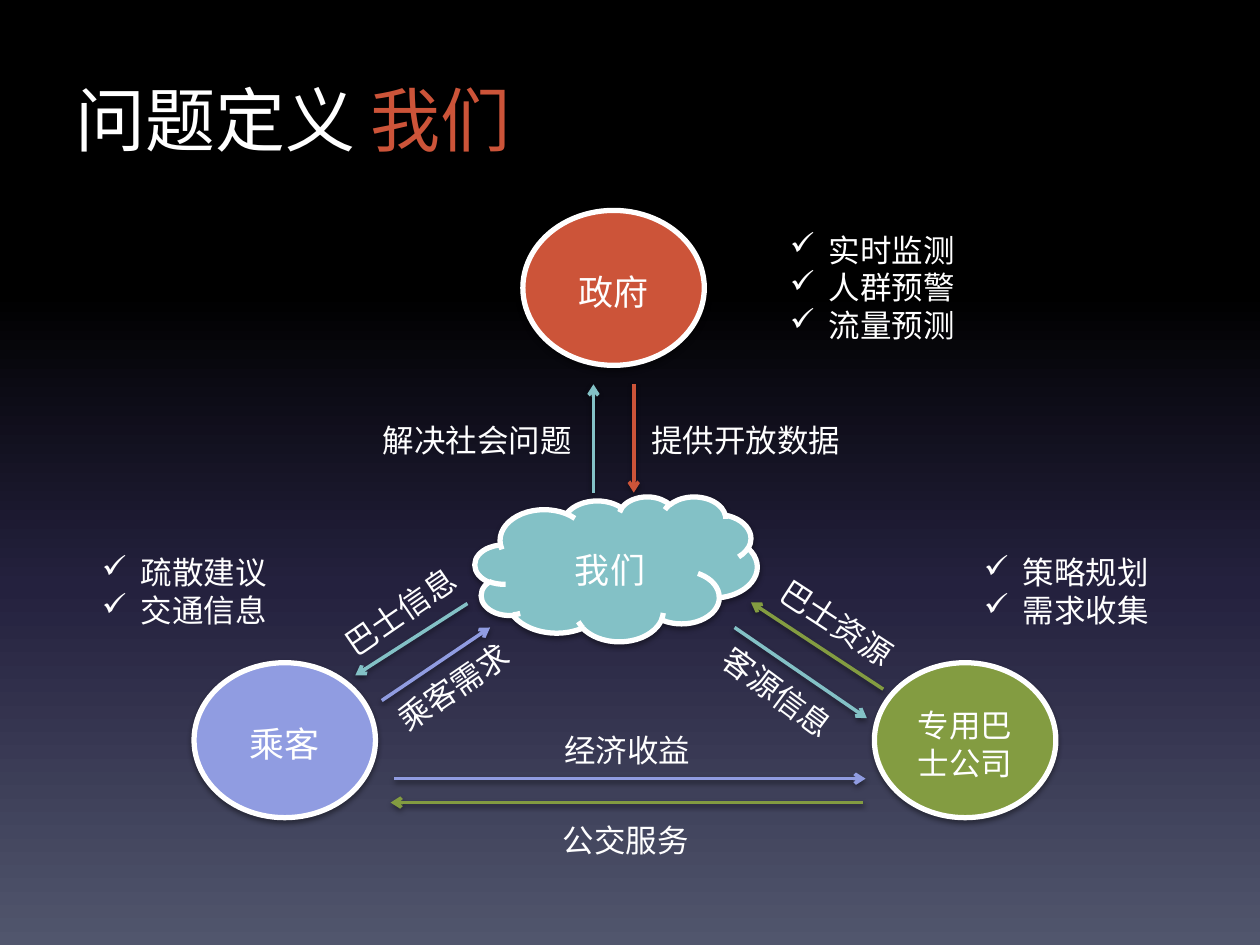
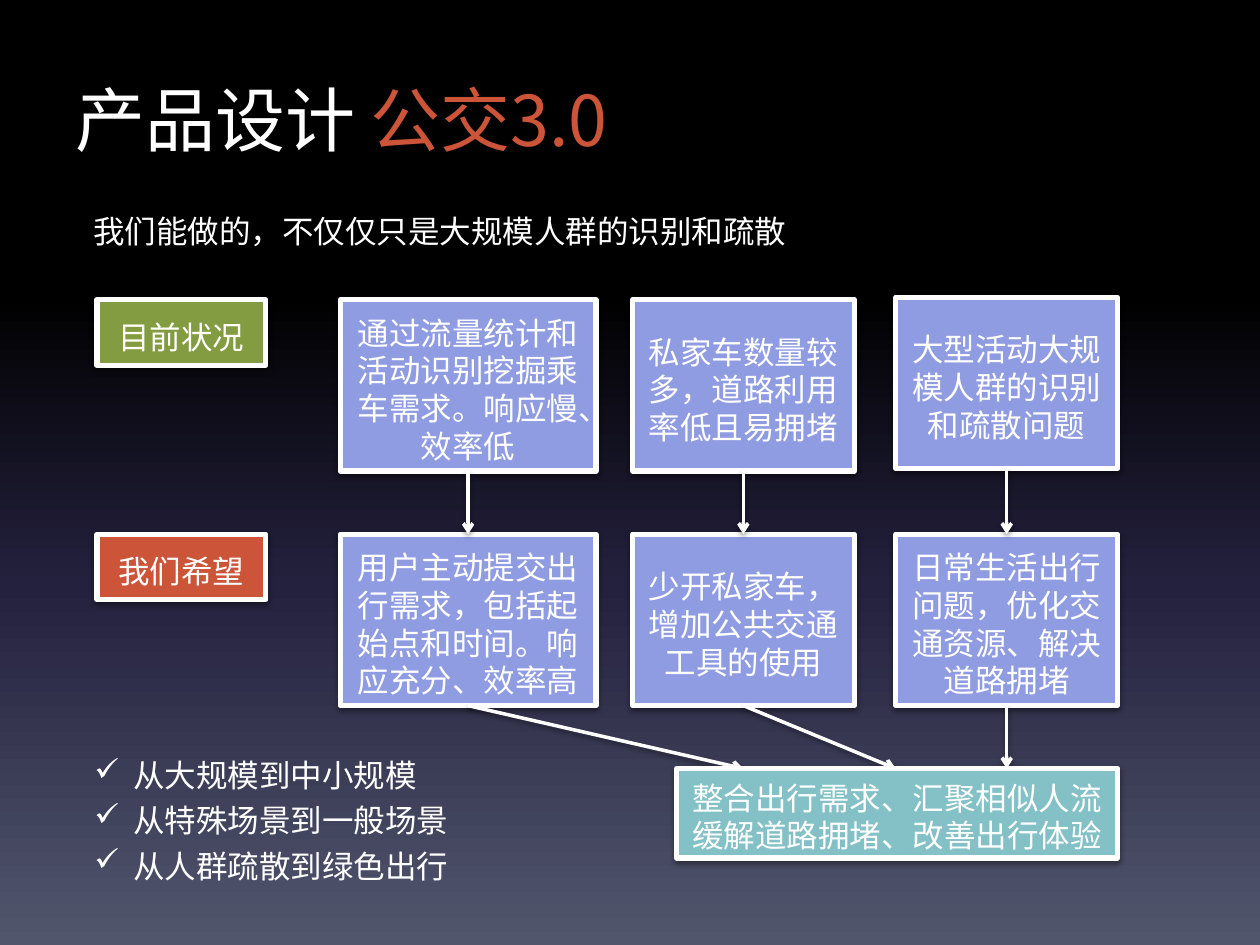
from dataclasses import dataclass

from lxml import etree
from pptx import Presentation
from pptx import util as u
from pptx.dml import color as dml
from pptx.enum import shapes, text
from pptx.oxml import ns

COLORS = {
    "white": "FFFFFF",
    "black": "000000",
    "orange": "CC5439",
    "blue": "909CE1",
    "green": "839C41",
    "teal": "83C1C6",
    "navy": "24213E",
    "slate": "51566D",
}
BACKGROUND_STOPS = [(0, "black"), (31, "black"), (62, "navy"), (100, "slate")]
SANS = "Noto Sans CJK SC"
TITLE_FONT = "Noto Sans CJK JP"
BOX_FONT = "Calibri"
COLUMNS, ROWS = 100, 75
CELL = u.Inches(0.1)
LINE_RATIO = 1.2
LEFT = text.PP_ALIGN.LEFT
CENTER = text.PP_ALIGN.CENTER
SHAPE = shapes.MSO_SHAPE


@dataclass
class Box:
    left: float
    top: float
    width: float
    height: float

    def inner(self, left, top, width, height):
        return Box(self.left + left, self.top + top, width, height)

    def point(self, column, row):
        return self.left + column, self.top + row

    def emu(self):
        return [cells(value) for value in (self.left, self.top, self.width, self.height)]


def cells(count):
    return u.Emu(round(count * CELL))


def rgb(name):
    return dml.RGBColor.from_string(COLORS[name])


def add_child(parent, tag, **attributes):
    return etree.SubElement(parent, ns.qn(tag), attributes)


def add_shadow(shape):
    effects = add_child(shape.element.spPr, "a:effectLst")
    shadow = add_child(effects, "a:outerShdw", blurRad=str(u.Pt(3.1)), dist=str(u.Pt(1.6)),
                       dir="5400000", rotWithShape="0")
    tone = add_child(shadow, "a:srgbClr", val=COLORS["black"])
    add_child(tone, "a:alpha", val="38000")


def format_run(run, size, font, color="white"):
    run.font.size = u.Pt(size)
    run.font.color.rgb = rgb(color)
    run.font.name = font
    add_child(run.font._element, "a:ea", typeface=font)


def write_text(shape, lines, size=18, font=SANS, align=LEFT, anchor=text.MSO_ANCHOR.TOP,
               spacing=LINE_RATIO, bullets=False):
    frame = shape.text_frame
    frame.word_wrap = True
    frame.vertical_anchor = anchor
    frame.margin_top, frame.margin_bottom = cells(0.8), cells(0.2)
    frame.text = "\n".join(lines)
    for paragraph in frame.paragraphs:
        paragraph.alignment = align
        paragraph.line_spacing = u.Pt(size * spacing)
        for run in paragraph.runs:
            format_run(run, size, font)
        if bullets:
            properties = paragraph._p.get_or_add_pPr()
            properties.set("marL", str(cells(3.1)))
            properties.set("indent", str(cells(-3.1)))
            add_child(properties, "a:buChar", char="✓")


def add_text(slide, box, lines, rotation=0, **style):
    shape = slide.shapes.add_textbox(*box.emu())
    shape.rotation = rotation
    write_text(shape, lines, **style)
    return shape


def add_node(slide, box, kind, fill, lines, anchor=text.MSO_ANCHOR.MIDDLE, **style):
    shape = slide.shapes.add_shape(kind, *box.emu())
    shape.fill.solid()
    shape.fill.fore_color.rgb = rgb(fill)
    shape.line.color.rgb = rgb("white")
    shape.line.width = u.Pt(3)
    add_shadow(shape)
    write_text(shape, lines, align=CENTER, anchor=anchor, **style)


def add_arrow(slide, start, end, color="white"):
    ends = [cells(value) for value in (*start, *end)]
    arrow = slide.shapes.add_connector(shapes.MSO_CONNECTOR.STRAIGHT, *ends)
    arrow.line.color.rgb = rgb(color)
    arrow.line.width = u.Pt(2)
    add_child(arrow.element.spPr.find(ns.qn("a:ln")), "a:tailEnd", type="arrow")
    add_shadow(arrow)


def paint_background(slide):
    fill = slide.background.fill
    fill.gradient()
    fill.gradient_angle = 270
    stops = slide.element.find(".//" + ns.qn("a:gsLst"))
    for stop in list(stops):
        stops.remove(stop)
    for position, color in BACKGROUND_STOPS:
        stop = add_child(stops, "a:gs", pos=str(position * 1000))
        add_child(stop, "a:srgbClr", val=COLORS[color])


def title_band(slide, box, topic, accent):
    shape = add_text(slide, box, [topic], size=40, font=TITLE_FONT, spacing=1.25)
    run = shape.text_frame.paragraphs[0].add_run()
    run.text = accent
    format_run(run, 40, TITLE_FONT, "orange")


def relationship_map(slide, box):
    parties = [
        (36.5, 1.7, "orange", "政府", 20),
        (10.4, 37.6, "blue", "乘客", 20),
        (64.4, 37.6, "green", "专用巴士公司", 18),
    ]
    for left, top, fill, name, size in parties:
        add_node(slide, box.inner(left, top, 14.4, 12.3), SHAPE.OVAL, fill, [name], size=size)
    add_node(slide, box.inner(32.7, 24.4, 22.4, 11.5), SHAPE.CLOUD, "teal", [" 我们"], size=20)

    exchanges = [
        ((42.1, 24.1), (42.1, 15.5), "teal"),
        ((45.3, 15.5), (45.3, 24.1), "orange"),
        ((53.3, 34.8), (63.8, 42), "teal"),
        ((65.1, 39.7), (54.6, 32.8), "green"),
        ((32.1, 32.9), (23.2, 38.6), "teal"),
        ((25.3, 40.6), (33.9, 34.8), "blue"),
        ((26.3, 46.8), (63.7, 46.8), "blue"),
        ((63.5, 48.7), (26, 48.7), "green"),
    ]
    for start, end, color in exchanges:
        add_arrow(slide, box.point(*start), box.point(*end), color)

    exchange_labels = [
        (24.4, 17.6, 17.2, 0, "解决社会问题"),
        (45.7, 17.6, 17.2, 0, "提供开放数据"),
        (20.6, 31.1, 12.5, -34.5, "巴士信息"),
        (24.8, 37.1, 12.5, -34.5, "乘客需求"),
        (50.6, 38.7, 15.4, 36.5, "客源信息"),
        (55.3, 33.1, 15.4, 33.2, "巴士资源"),
        (38.8, 42.2, 12.4, 0, "经济收益"),
        (38.7, 49.4, 12.4, 0, "公交服务"),
    ]
    for left, top, width, rotation, label in exchange_labels:
        add_text(slide, box.inner(left, top, width, 4), [label], rotation)

    benefits = [
        (56.7, 2.5, ["实时监测", "人群预警", "流量预测"]),
        (2.1, 28.1, ["疏散建议", "交通信息"]),
        (72.1, 28.1, ["策略规划", "需求收集"]),
    ]
    for left, top, lines in benefits:
        add_text(slide, box.inner(left, top, 15.5, 3 * len(lines) + 1), lines, bullets=True)


def comparison_flow(slide, box):
    now_row, hope_row, result_row = 1.8, 20.4, 39
    card_height = 13.6
    for top, fill, name in [(now_row, "green", "目前状况"), (hope_row, "orange", "我们希望")]:
        add_node(slide, box.inner(0.7, top, 13.4, 5.2), SHAPE.RECTANGLE, fill, [name],
                 font=BOX_FONT)

    columns = [
        (20, 20.3, now_row, "通过流量统计和活动识别挖掘乘车需求。响应慢、效率低",
         "用户主动提交出行需求，包括起始点和时间。响应充分、效率高"),
        (43.2, 17.6, now_row, "私家车数量较多，道路利用率低且易拥堵",
         "少开私家车，增加公共交通工具的使用"),
        (64.1, 17.6, now_row - 0.2, "大型活动大规模人群的识别和疏散问题",
         "日常生活出行问题，优化交通资源、解决道路拥堵"),
    ]
    centers = [left + width / 2 for left, width, *_ in columns]
    targets = [centers[1], columns[2][0], centers[2]]
    for (left, width, top, now, hope), center, target in zip(columns, centers, targets):
        for card_top, words in [(top, now), (hope_row, hope)]:
            add_node(slide, box.inner(left, card_top, width, card_height), SHAPE.RECTANGLE,
                     "blue", [words], font=BOX_FONT)
        add_arrow(slide, box.point(center, top + card_height), box.point(center, hope_row))
        add_arrow(slide, box.point(center, hope_row + card_height),
                  box.point(target, result_row))
    add_node(slide, box.inner(46.7, result_row, 35, 7.1), SHAPE.RECTANGLE, "teal",
             ["整合出行需求、汇聚相似人流", "缓解道路拥堵、改善出行体验"],
             anchor=text.MSO_ANCHOR.TOP)


def summary_text(slide, box, lines, bullets=False):
    add_text(slide, box, lines, spacing=LINE_RATIO * 1.2, bullets=bullets)


def add_slide(presentation, topic, accent):
    slide = presentation.slides.add_slide(presentation.slide_layouts[6])
    paint_background(slide)
    title_band(slide, Box(5, 5, 90, 12.5), topic, accent)
    return slide


def main():
    presentation = Presentation()
    presentation.slide_width = cells(COLUMNS)
    presentation.slide_height = cells(ROWS)

    problem = add_slide(presentation, "问题定义 ", "我们")
    relationship_map(problem, Box(5, 15, 90, 55))

    product = add_slide(presentation, "产品设计 ", "公交3.0")
    summary_text(product, Box(6.4, 15.4, 87.5, 4.5),
                 ["我们能做的，不仅仅只是大规模人群的识别和疏散"])
    comparison_flow(product, Box(7, 22, 86, 48))
    summary_text(product, Box(6.5, 58.6, 45, 11.8),
                 ["从大规模到中小规模", "从特殊场景到一般场景", "从人群疏散到绿色出行"],
                 bullets=True)

    presentation.save("out.pptx")


if __name__ == "__main__":
    main()
